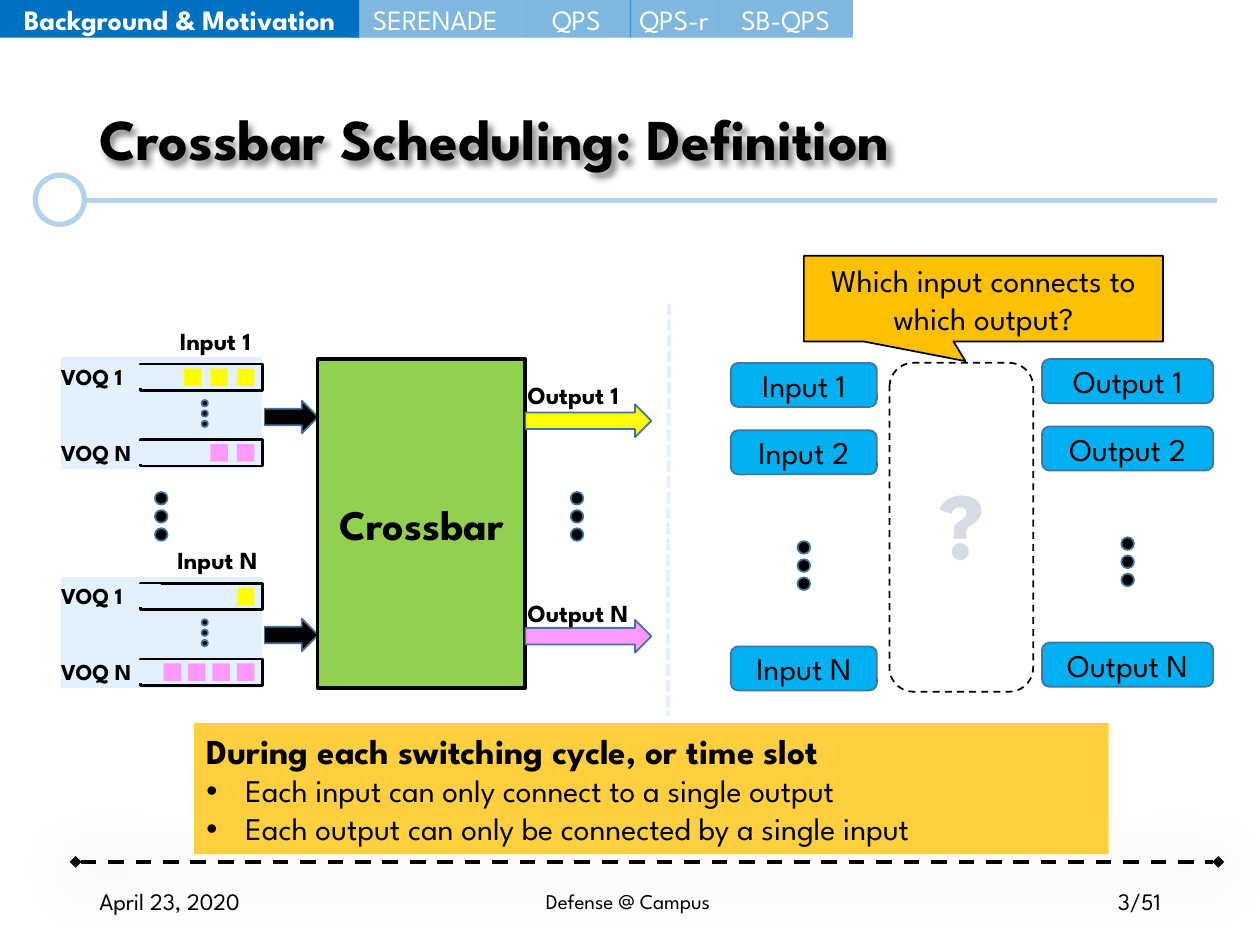
"""Build the slide that defines crossbar scheduling."""
from dataclasses import dataclass
from typing import Optional

from lxml import etree
from pptx import Presentation
from pptx.dml.color import RGBColor
from pptx.enum.dml import MSO_LINE
from pptx.enum.shapes import MSO_CONNECTOR, MSO_SHAPE
from pptx.enum.text import MSO_ANCHOR, PP_ALIGN
from pptx.oxml.ns import qn
from pptx.util import Inches, Pt

RECTANGLE, ROUNDED, OVAL = MSO_SHAPE.RECTANGLE, MSO_SHAPE.ROUNDED_RECTANGLE, MSO_SHAPE.OVAL
ARROW, CALLOUT = MSO_SHAPE.RIGHT_ARROW, MSO_SHAPE.RECTANGULAR_CALLOUT
LEFT, CENTER, RIGHT = PP_ALIGN.LEFT, PP_ALIGN.CENTER, PP_ALIGN.RIGHT
TOP, MIDDLE = MSO_ANCHOR.TOP, MSO_ANCHOR.MIDDLE
DASH, SHORT_DASH = MSO_LINE.DASH, MSO_LINE.SQUARE_DOT
FONT = "League Spartan"
COLUMNS, ROWS = 100, 75
COLORS = {
    "black": "000000", "white": "FFFFFF", "rule": "B5D2EC", "pale": "E3F1FF",
    "edge": "43739E", "port": "00B0F0", "amber": "FFC000", "green": "92D050",
    "yellow": "FFFF00", "pink": "FF99FF", "navy": "0070C0", "gray": "D6DCE5",
}

presentation = Presentation()
presentation.slide_width, presentation.slide_height = Inches(10), Inches(7.5)
slide = presentation.slides.add_slide(presentation.slide_layouts[6])
column_width = presentation.slide_width / COLUMNS
row_height = presentation.slide_height / ROWS


@dataclass
class Area:
    column: float
    row: float
    columns: float
    rows: float

    def lengths(self) -> list[int]:
        return [round(self.column * column_width), round(self.row * row_height),
                round(self.columns * column_width), round(self.rows * row_height)]


@dataclass
class Text:
    words: str
    size: float
    bold: bool = False
    color: str = "black"
    align: PP_ALIGN = CENTER
    anchor: MSO_ANCHOR = MIDDLE
    wrap: bool = True


@dataclass
class Queue:
    color: str
    packets: int
    pitch: float = 2.1


@dataclass
class InputPort:
    name: str
    column: float
    row: float
    queues: tuple[Queue, Queue]


def rgb(name: str) -> RGBColor:
    return RGBColor.from_string(COLORS[name])


def add_run(paragraph, text: Text) -> None:
    paragraph.alignment = text.align
    run = paragraph.add_run()
    run.text = text.words
    run.font.name, run.font.size, run.font.bold = FONT, Pt(text.size), text.bold
    run.font.color.rgb = rgb(text.color)


def write(shape, text: Text):
    frame = shape.text_frame
    frame.word_wrap, frame.vertical_anchor = text.wrap, text.anchor
    add_run(frame.paragraphs[0], text)
    return frame


def add_effects(shape, blur: float = 0, distance: float = 0, angle: int = 0) -> None:
    properties = shape._element.spPr
    effects = etree.SubElement(properties, qn("a:effectLst"))
    if blur:
        shadow = etree.SubElement(effects, qn("a:outerShdw"), blurRad=str(Pt(blur)),
                                  dist=str(Pt(distance)), dir=str(angle * 60000), rotWithShape="0")
        color = etree.SubElement(shadow, qn("a:srgbClr"), val=COLORS["black"])
        etree.SubElement(color, qn("a:alpha"), val="43000")


def add_label(area: Area, text: Text):
    shape = slide.shapes.add_textbox(*area.lengths())
    write(shape, text)
    return shape


def add_panel(kind: MSO_SHAPE, area: Area, fill: Optional[str], line: Optional[str] = None,
              weight: float = 1, text: Optional[Text] = None, opacity: int = 100):
    shape = slide.shapes.add_shape(kind, *area.lengths())
    shape.shadow.inherit = False
    if fill:
        shape.fill.solid()
        shape.fill.fore_color.rgb = rgb(fill)
        if opacity < 100:
            color = shape._element.spPr.find(qn("a:solidFill"))[0]
            etree.SubElement(color, qn("a:alpha"), val=str(opacity * 1000))
    else:
        shape.fill.background()
    if line:
        shape.line.color.rgb, shape.line.width = rgb(line), Pt(weight)
    else:
        shape.line.fill.background()
    if text:
        write(shape, text)
    return shape


def add_rule(start: tuple[float, float], end: tuple[float, float], color: str, weight: float,
             dash: Optional[MSO_LINE] = None):
    points = Area(*start, *end).lengths()
    rule = slide.shapes.add_connector(MSO_CONNECTOR.STRAIGHT, *points)
    rule.line.color.rgb, rule.line.width = rgb(color), Pt(weight)
    if dash:
        rule.line.dash_style = dash
    return rule


def add_dots(column: float, row: float, size: float = 1, pitch: float = 1.44) -> None:
    for index in range(3):
        add_panel(OVAL, Area(column, row + index * pitch, size, size), "black", "edge")


def add_input_port(port: InputPort) -> None:
    add_panel(RECTANGLE, Area(4.8, port.row, 16.1, 9), "pale", "white")
    for index, (queue, name) in enumerate(zip(port.queues, ("VOQ 1", "VOQ N"))):
        row = port.row + 0.6 + index * 6
        add_panel(RECTANGLE, Area(11.15, row, 9.7, 2.1), "pale", "black", 1.5)
        add_panel(RECTANGLE, Area(11.05, row + 0.15, 1.7, 1.7), "pale", "pale")
        for packet in range(queue.packets):
            column = 18.8 - packet * queue.pitch
            add_panel(RECTANGLE, Area(column, row + 0.35, 1.4, 1.4), queue.color)
        add_label(Area(3.85, row - 0.6, 8.1, 3.2),
                  Text(name, 13, True, align=LEFT, anchor=TOP, wrap=False))
    add_dots(16, port.row + 3.45, 0.5, 0.82)
    add_label(Area(port.column, port.row - 2.95, 8.6, 3.4),
              Text(port.name, 14, True, align=LEFT, anchor=TOP, wrap=False))


def add_matching_side(name: str, column: float, row: float, columns: float) -> None:
    for suffix, offset in (("1", 0), ("2", 5.35), ("N", 22.5)):
        add_panel(ROUNDED, Area(column, row + offset, columns, 3.5), "port", "edge",
                  text=Text(f"{name} {suffix}", 18))
    add_dots(column + columns / 2 - 0.5, row + 14.15)


add_effects(add_rule((6.9, 15.9), (96.6, 15.9), "rule", 3))
add_panel(OVAL, Area(2.8, 13.9, 3.9, 3.9), "white", "rule", 3)
footer_rule = add_rule((6, 68.4), (96.7, 68.4), "black", 2.25, DASH)
for end_name in ("a:headEnd", "a:tailEnd"):
    etree.SubElement(footer_rule.line._get_or_add_ln(), qn(end_name), type="diamond")
add_effects(footer_rule, 36, 4, 90)
title = add_label(Area(6.9, 4, 78.6, 14.5), Text("Crossbar Scheduling: Definition", 33, True, align=LEFT))
title.text_frame.paragraphs[0].line_spacing = 0.9
add_effects(title, 4, 3, 45)

add_effects(add_rule((53.1, 24.1), (53, 56.8), "pale", 2.25, SHORT_DASH))
add_matching_side("Input", 58, 28.8, 11.6)
add_matching_side("Output", 82.7, 28.5, 13.6)
matching = add_panel(ROUNDED, Area(70.6, 28.8, 11.4, 26.1), None, "black")
matching.line.dash_style = DASH
add_label(Area(73.2, 36.4, 6.3, 10.1), Text("?", 54, True, "gray", anchor=TOP, wrap=False))
question = add_panel(CALLOUT, Area(63.8, 20.3, 28.5, 6.8), "amber", "black",
                     text=Text("Which input connects to which output?", 18))
question.adjustments[0], question.adjustments[1] = -0.05, 0.73

rules = add_panel(RECTANGLE, Area(15.4, 57.4, 72.6, 10.4), "amber", opacity=75)
rules_frame = write(rules, Text("During each switching cycle, or time slot", 20, True, align=LEFT, anchor=TOP))
for sentence in ("Each input can only connect to a single output",
                 "Each output can only be connected by a single input"):
    bullet = rules_frame.add_paragraph()
    add_run(bullet, Text(sentence, 18, align=LEFT))
    indent = Inches(0.31)
    bullet_properties = bullet._p.get_or_add_pPr()
    bullet_properties.set("marL", str(indent))
    bullet_properties.set("indent", str(-indent))
    etree.SubElement(bullet_properties, qn("a:buFont"), typeface="Arial")
    etree.SubElement(bullet_properties, qn("a:buChar"), char="•")

for arrow_row in (31.8, 49.1):
    add_panel(ARROW, Area(20.95, arrow_row, 4.3, 2.6), "black", "edge")
add_panel(RECTANGLE, Area(25.2, 28.5, 16.5, 26.1), "green", "black", 2.25, Text("Crossbar", 24, True))
for input_port in (
    InputPort("Input 1", 13.3, 28.3, (Queue("yellow", 3), Queue("pink", 2))),
    InputPort("Input N", 13.1, 45.7, (Queue("yellow", 1), Queue("pink", 4, 1.94))),
):
    add_input_port(input_port)
for name, color, arrow_row, label_row in (("Output 1", "yellow", 32.1, 29.7),
                                          ("Output N", "pink", 49.2, 47)):
    add_panel(ARROW, Area(41.7, arrow_row, 10, 2.6), color, "edge")
    add_label(Area(40.9, label_row, 10.3, 3.4),
              Text(name, 14, True, align=LEFT, anchor=TOP, wrap=False))
for dots_column in (12.3, 45.3):
    add_dots(dots_column, 39.05)

for words, column, columns, opacity in (
    ("Background & Motivation", 0, 28.5, 100), ("SERENADE", 27.7, 13.7, 50),
    ("QPS", 41.4, 8.7, 50), ("QPS-r", 50, 7, 50), ("SB-QPS", 57, 10.7, 50),
):
    tab = add_panel(RECTANGLE, Area(column, 0, columns, 3), "navy", opacity=opacity,
                    text=Text(words, 16, opacity == 100, "white"))
    tab.text_frame.margin_left = tab.text_frame.margin_right = 0

for words, column, columns, size, align in (
    ("April 23, 2020", 6.9, 22.5, 13.5, LEFT), ("Defense @ Campus", 24.1, 51.5, 12, CENTER),
    ("3/51", 70.6, 22.5, 13.5, RIGHT),
):
    add_label(Area(column, 69.5, columns, 4), Text(words, size, align=align))

presentation.save("out.pptx")
